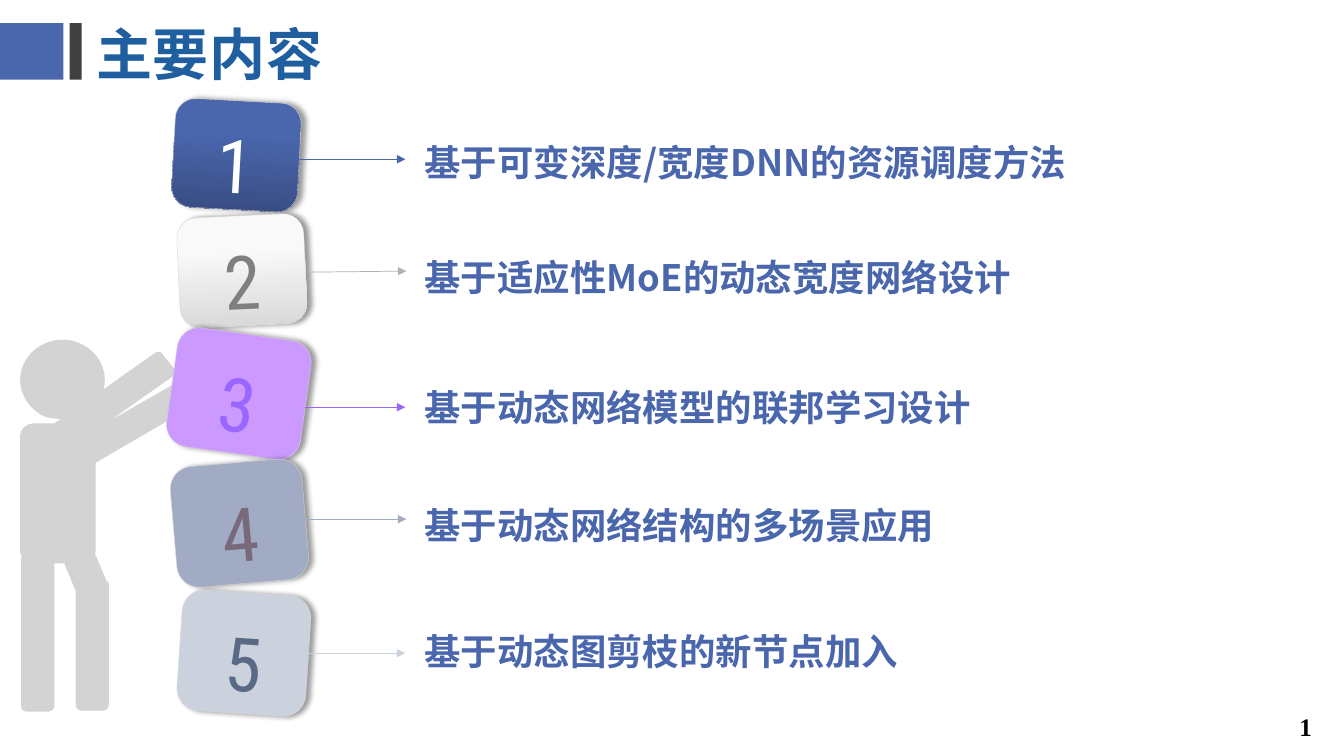
import pptx
import pptx.util
import pptx.dml.color
import pptx.enum.shapes
import pptx.enum.text
import pptx.oxml
import pptx.oxml.ns
from lxml import etree

RGB = pptx.dml.color.RGBColor
SHAPE = pptx.enum.shapes.MSO_SHAPE
ALIGN = pptx.enum.text.PP_ALIGN
ANCHOR = pptx.enum.text.MSO_ANCHOR
Pt = pptx.util.Pt
qn = pptx.oxml.ns.qn

PX = 9144  # 100 px to the inch
CJK = "Noto Sans CJK SC"
DIGIT = "Roboto Condensed"
BLUE = RGB(0x4A, 0x66, 0xAC)
NAVY = RGB(0x38, 0x4C, 0x81)
TITLE_BLUE = RGB(0x1F, 0x5F, 0xA0)
CHARCOAL = RGB(0x40, 0x40, 0x40)
FIGURE_GREY = RGB(0xD3, 0xD3, 0xD3)
EDGE_GREY = RGB(0xD7, 0xD7, 0xD7)
PALE_GREY = RGB(0xF9, 0xF9, 0xF9)
ARROW_GREY = RGB(0xB2, 0xB2, 0xB2)
DIGIT_GREY = RGB(0x80, 0x80, 0x80)
LILAC = RGB(0xCC, 0x99, 0xFF)
VIOLET = RGB(0x99, 0x66, 0xFF)
SLATE = RGB(0xA1, 0xAB, 0xC4)
MAUVE = RGB(0x78, 0x69, 0x7B)
MIST = RGB(0xCC, 0xD2, 0xDD)
STEEL = RGB(0x59, 0x6A, 0x85)
WHITE = RGB(0xFF, 0xFF, 0xFF)
BLACK = RGB(0, 0, 0)

# number, block box, rotation, fill colours, digit colour,
# arrow start and end, arrow colour, topic box, topic
TOPICS = [
    ("1", (172, 100, 125, 108), 3.1, (BLUE, NAVY), WHITE,
     (290, 158, 402, 158), BLUE, (421, 110, 764, 88), "基于可变深度/宽度DNN的资源调度方法"),
    ("2", (177, 214, 126, 109), 357.3, (PALE_GREY, EDGE_GREY), DIGIT_GREY,
     (304, 270, 403, 269), ARROW_GREY, (421, 246, 636, 45), "基于适应性MoE的动态宽度网络设计"),
    ("3", (170, 331, 134, 119), 8, (LILAC,), VIOLET,
     (303, 404, 402, 404), VIOLET, (421, 375, 655, 45), "基于动态网络模型的联邦学习设计"),
    ("4", (172, 459, 131, 120), 355.1, (SLATE,), MAUVE,
     (296, 515, 403, 515), SLATE, (421, 492, 655, 45), "基于动态网络结构的多场景应用"),
    ("5", (178, 588, 128, 120), 3.8, (MIST,), STEEL,
     (303, 648, 402, 648), MIST, (421, 617, 655, 45), "基于动态图剪枝的新节点加入"),
]

# Outline inside the figure's box: two numbers are a corner, six are a Bézier curve
FIGURE = [
    (42, 0), (65, 0, 84, 18, 84, 40), (84, 43, 84, 45, 83, 48), (83, 49),
    (134, 13), (136, 11, 140, 12, 141, 14), (153, 29), (155, 31, 154, 34, 152, 36),
    (88, 81), (170, 34), (172, 32, 175, 33, 177, 35), (187, 51),
    (188, 54, 187, 57, 185, 58), (75, 122), (75, 210), (74, 213), (75, 214),
    (86, 240), (87, 240), (88, 241, 88, 242, 88, 244), (88, 362),
    (88, 365, 86, 368, 83, 368), (60, 368), (57, 368, 55, 365, 55, 362), (55, 249),
    (45, 225), (44, 222), (34, 222), (34, 364), (34, 367, 31, 369, 28, 369), (6, 369),
    (3, 369, 1, 367, 1, 364), (1, 217), (2, 215), (1, 215), (0, 213, 0, 212, 0, 210),
    (0, 95), (0, 89, 6, 83, 13, 83), (34, 83), (40, 79), (26, 77),
    (11, 71, 0, 56, 0, 40), (0, 18, 19, 0, 42, 0),
]


def px(*lengths):
    return [length * PX for length in lengths]


def write(frame, text, size, color, font=CJK, bold=False, align=ALIGN.LEFT,
          anchor=ANCHOR.MIDDLE, leading=None, inset=None, wrap=True, spacing=None):
    frame.word_wrap = wrap
    frame.vertical_anchor = anchor
    if inset is not None:
        frame.margin_left = frame.margin_right = inset * PX
        frame.margin_top = frame.margin_bottom = inset * PX
    paragraph = frame.paragraphs[0]
    paragraph.alignment = align
    paragraph.line_spacing = leading
    run = paragraph.add_run()
    run.text = text
    run.font.size = Pt(size)
    run.font.bold = bold
    run.font.color.rgb = color
    run.font.name = font
    properties = run._r.get_or_add_rPr()
    etree.SubElement(properties, qn("a:ea")).set("typeface", font)
    if spacing:
        properties.set("spc", str(spacing))


def text_box(slide, box, text, size, color, **style):
    write(slide.shapes.add_textbox(*px(*box)).text_frame, text, size, color, **style)


def paint(shape, colors):
    """Fill with one colour, or with a downward gradient of two."""
    shape.shadow.inherit = False
    if len(colors) == 1:
        shape.fill.solid()
        shape.fill.fore_color.rgb = colors[0]
        return
    shape.fill.gradient()
    shape.fill.gradient_angle = 270
    for stop, position, color in zip(shape.fill.gradient_stops, (0.33, 1), colors):
        stop.position = position
        stop.color.rgb = color


def drop_shadow(shape):
    effects = shape._element.spPr.find(qn("a:effectLst"))
    shadow = etree.SubElement(effects, qn("a:outerShdw"), blurRad=str(Pt(4)),
                              dist=str(Pt(3)), dir="0", algn="l", rotWithShape="0")
    color = etree.SubElement(shadow, qn("a:srgbClr"), val="000000")
    etree.SubElement(color, qn("a:alpha"), val="40000")


def header(slide, left, top):
    for offset, width, color in ((0, 63, BLUE), (69, 12, CHARCOAL)):
        bar = slide.shapes.add_shape(SHAPE.RECTANGLE, *px(left + offset, top, width, 56))
        paint(bar, (color,))
        bar.line.fill.background()
    text_box(slide, (left + 84, top - 9, 247, 77), "主要内容", 40, TITLE_BLUE, bold=True,
             align=ALIGN.CENTER, anchor=ANCHOR.TOP, wrap=False, spacing=50)


def bend(line, controls):
    """Turn a straight path segment into a cubic Bézier curve."""
    line.tag = qn("a:cubicBezTo")
    line.clear()
    for x, y in zip(controls[::2], controls[1::2]):
        etree.SubElement(line, qn("a:pt"), x=str(x), y=str(y))


def pushing_figure(slide, left, top):
    builder = slide.shapes.build_freeform(*FIGURE[0], scale=PX)
    builder.add_line_segments([segment[-2:] for segment in FIGURE[1:]], close=True)
    figure = builder.convert_to_shape(*px(left, top))
    segments = list(figure._element.iter(qn("a:lnTo")))
    for line, segment in zip(segments, FIGURE[1:]):
        if len(segment) == 6:
            bend(line, segment)
    paint(figure, (FIGURE_GREY,))
    figure.line.fill.background()


def block(slide, box, number, rotation, colors, digit_color):
    tile = slide.shapes.add_shape(SHAPE.ROUNDED_RECTANGLE, *px(*box))
    tile.adjustments[0] = 0.186
    tile.rotation = rotation
    paint(tile, colors)
    tile.line.color.rgb = EDGE_GREY
    tile.line.width = Pt(0.25)
    drop_shadow(tile)
    write(tile.text_frame, number, 53.3, digit_color, font=DIGIT,
          align=ALIGN.CENTER, leading=1.2)


def arrow(slide, ends, color):
    connector = slide.shapes.add_connector(
        pptx.enum.shapes.MSO_CONNECTOR.STRAIGHT, *px(*ends))
    connector.line.color.rgb = color
    connector.line.width = Pt(0.5)
    etree.SubElement(connector.line._get_or_add_ln(), qn("a:tailEnd"), type="triangle")
    etree.SubElement(connector._element.spPr, qn("a:effectLst"))


def main():
    deck = pptx.Presentation()
    deck.slide_width, deck.slide_height = px(1333, 750)
    slide = deck.slides.add_slide(deck.slide_layouts[6])
    header(slide, 0, 23)
    pushing_figure(slide, 20, 337)
    for number, box, rotation, colors, digit_color, ends, line, topic_box, topic in TOPICS:
        block(slide, box, number, rotation, colors, digit_color)
        arrow(slide, ends, line)
        text_box(slide, topic_box, topic, 26, BLUE, bold=True, leading=1.3, inset=0)
    text_box(slide, (1274, 692, 42, 46), "1", 18, BLACK, font="Times New Roman", bold=True,
             align=ALIGN.CENTER, anchor=ANCHOR.TOP, leading=1.3)
    deck.save("out.pptx")


if __name__ == "__main__":
    main()
